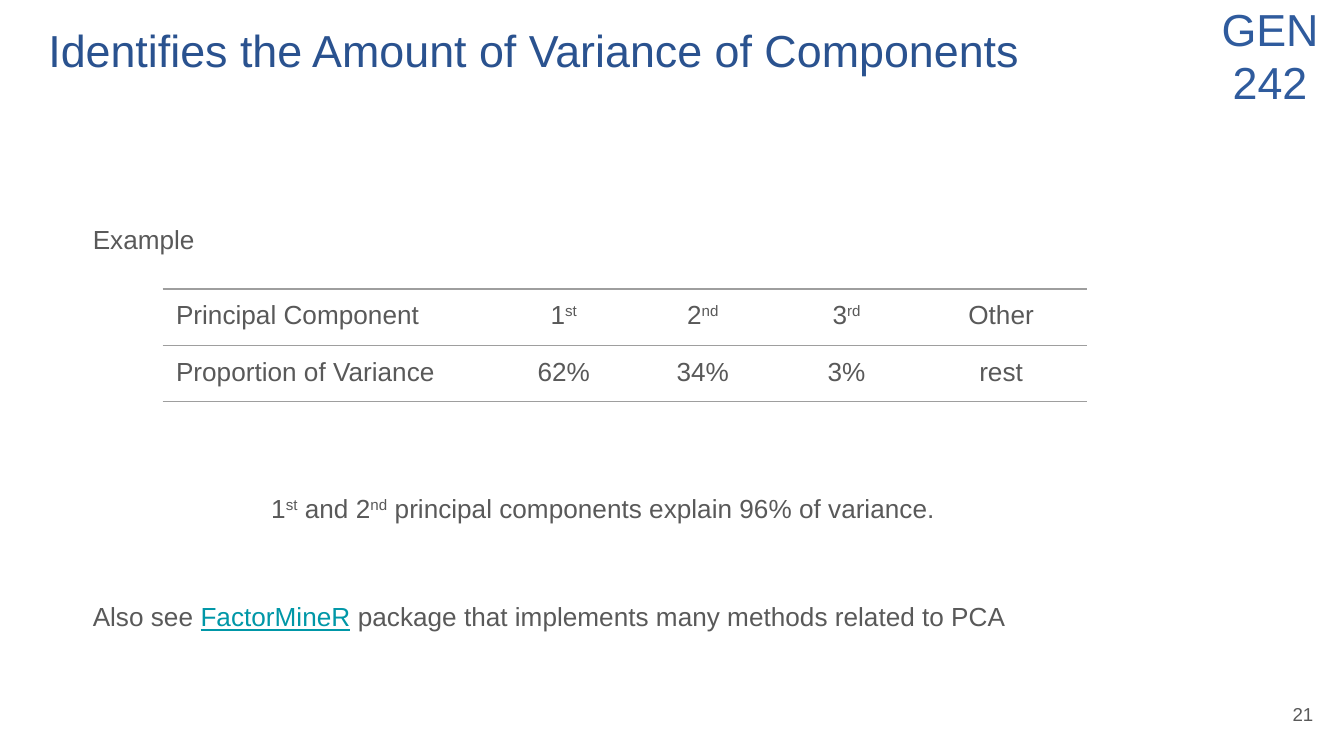
"""Build the slide on the variance of principal components."""
from lxml.etree import SubElement as Sub
from pptx import Presentation as Deck
from pptx.dml.color import RGBColor as Color
from pptx.enum.text import MSO_ANCHOR as Anchor, PP_ALIGN as Align
from pptx.oxml import parse_xml as parse
from pptx.oxml.ns import nsdecls, qn
from pptx.util import Inches, Pt

HUES = {"title": "2A528F", "brand": "2F5B9D", "text": "595959",
        "link": "0097A7", "rule": "9E9E9E"}
WIDTHS = [2.51, 0.95, 1.12, 1.02, 1.28]
ROWS = [["Principal Component", "1|st", "2|nd", "3|rd", "Other"],
        ["Proportion of Variance", "62%", "34%", "3%", "rest"]]


class Page:
    """Hold the style and the current slide."""

    def __init__(self, deck):
        self.font = "Arial"
        self.pad = {f"margin_{side}": Inches(0.1)
                    for side in ("left", "right", "top", "bottom")}
        self.slide = deck.slides.add_slide(deck.slide_layouts[1])

    def line(self, par, text, size=14, hue="text", align=Align.LEFT, link=False):
        """Write a line whose odd parts, split at bars, are raised or links."""
        par.alignment = align
        for num, part in enumerate(text.split("|")):
            run = par.add_run()
            run.text = part
            mark = num % 2 == 1
            look = {"name": self.font, "size": Pt(size), "bold": False,
                    "underline": mark and link}
            for key, val in look.items():
                setattr(run.font, key, val)
            tint = "link" if mark and link else hue
            run.font.color.rgb = Color.from_string(HUES[tint])
            if mark and not link:
                run.font._element.set("baseline", "30000")

    def frame(self, shape, at, anchor=Anchor.TOP):
        """Place a shape and set up its text frame."""
        for key, val in zip(("left", "top", "width", "height"), at):
            setattr(shape, key, Inches(val))
        frame = shape.text_frame
        look = {"word_wrap": True, "vertical_anchor": anchor, **self.pad}
        for key, val in look.items():
            setattr(frame, key, val)
        return frame

    def title(self, text, at):
        """Fill the title placeholder."""
        frame = self.frame(self.slide.shapes.title, at)
        self.line(frame.paragraphs[0], text, 24, "title")

    def body(self, lines, at, gap):
        """Fill the body placeholder with plain lines set apart by a gap."""
        frame = self.frame(self.slide.placeholders[1], at)
        for num, text in enumerate(lines):
            par = frame.add_paragraph() if num else frame.paragraphs[0]
            prop = par._p.get_or_add_pPr()
            prop.set("marL", "0")
            prop.set("indent", "0")
            Sub(prop, qn("a:buNone"))
            par.space_before = Pt(gap if num else 0)
            self.line(par, text, link=True)

    def text(self, lines, at, anchor=Anchor.TOP, **look):
        """Add a text box."""
        box = self.slide.shapes.add_textbox(0, 0, 0, 0)
        frame = self.frame(box, at, anchor)
        for num, text in enumerate(lines):
            par = frame.add_paragraph() if num else frame.paragraphs[0]
            self.line(par, text, **look)

    def rules(self, cell):
        """Rule a cell above and below only."""
        prop = cell._tc.get_or_add_tcPr()
        solid = f'<a:solidFill><a:srgbClr val="{HUES["rule"]}"/></a:solidFill>'
        for num, side in enumerate("LRTB"):
            fill = solid if side in "TB" else "<a:noFill/>"
            prop.insert(num, parse(f'<a:ln{side} {nsdecls("a")} w="{Pt(0.75)}">'
                                   f'{fill}</a:ln{side}>'))

    def table(self, rows, widths, left, top, tall):
        """Add a table with thin rules between its rows."""
        grid = self.slide.shapes.add_table(
            len(rows), len(widths), Inches(left), Inches(top),
            Inches(sum(widths)), Inches(tall * len(rows))).table
        grid.first_row = grid.horz_banding = False
        pad = {**self.pad, "margin_top": Inches(0.09),
               "margin_bottom": Inches(0.09)}
        for col, wide in zip(grid.columns, widths):
            col.width = Inches(wide)
        for y, row in enumerate(rows):
            for x, text in enumerate(row):
                cell = grid.cell(y, x)
                for key, val in pad.items():
                    setattr(cell, key, val)
                cell.fill.background()
                self.rules(cell)
                self.line(cell.text_frame.paragraphs[0], text,
                          align=Align.CENTER if x else Align.LEFT)


def main():
    """Build and save the deck."""
    deck = Deck()
    deck.slide_width = Inches(10)
    deck.slide_height = deck.slide_width * 9 // 16
    page = Page(deck)
    page.text(["GEN", "242"], (8.82, -0.09, 1.26, 0.98), size=24,
              hue="brand", align=Align.CENTER)
    page.title("Identifies the Amount of Variance of Components",
               (0.26, 0.07, 9.32, 0.63))
    page.text(["21"], (9.27, 5.1, 0.6, 0.43), Anchor.MIDDLE, size=10,
              align=Align.RIGHT)
    page.table(ROWS, WIDTHS, 1.21, 2.15, 0.42)
    page.body(["Example", "Also see |FactorMineR| package that implements "
               "many methods related to PCA"], (0.59, 1.56, 7.9, 3.3), 185.5)
    page.text(["1|st| and 2|nd| principal components explain 96% of variance."],
              (1.92, 3.56, 7.5, 0.48))
    deck.save("out.pptx")


if __name__ == "__main__":
    main()
